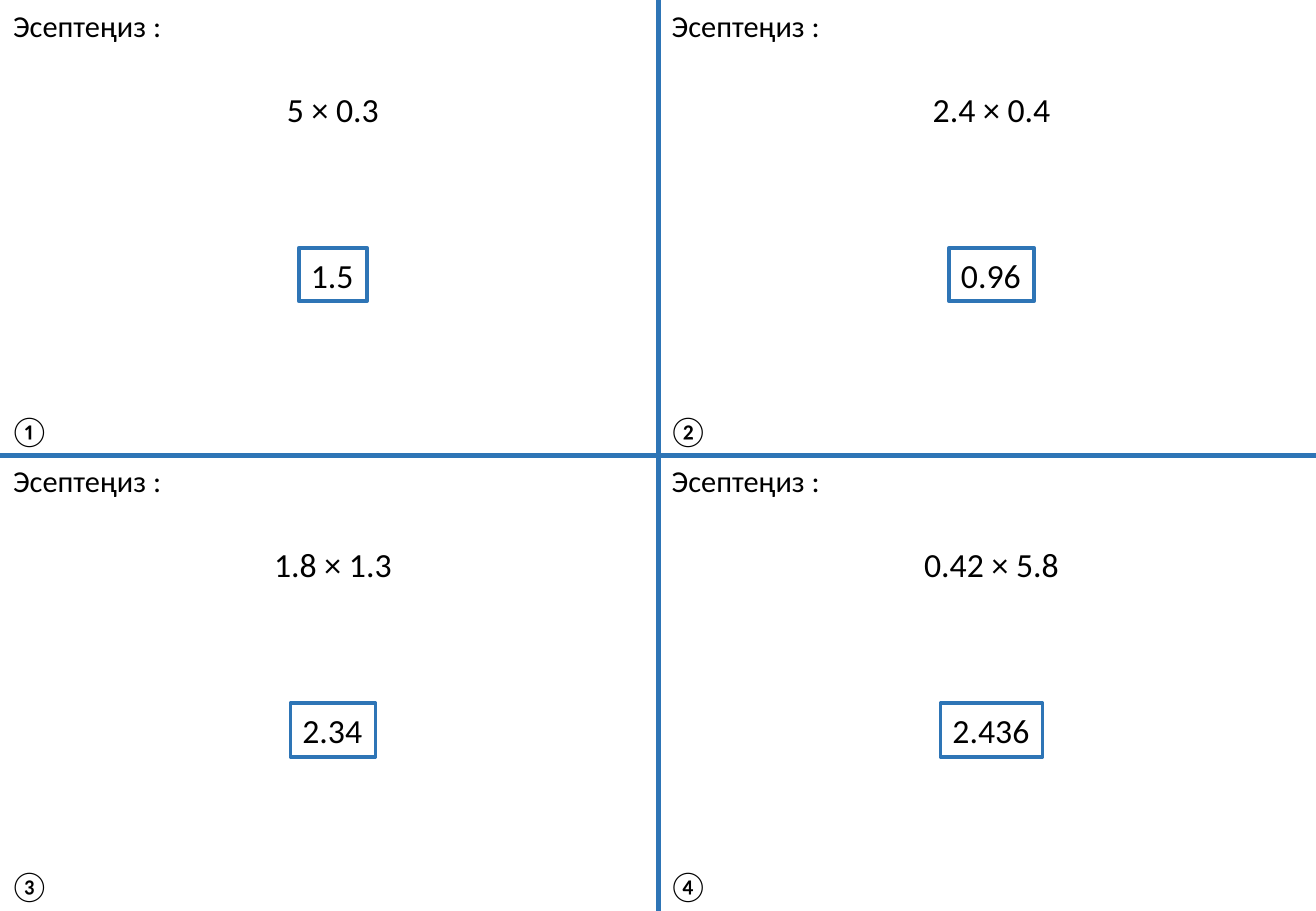
from dataclasses import dataclass

from lxml.etree import SubElement
from pptx import Presentation
from pptx.dml.color import RGBColor
from pptx.enum.shapes import MSO_CONNECTOR as Connector, MSO_SHAPE as Shape
from pptx.enum.text import MSO_AUTO_SIZE as AutoSize, PP_ALIGN as Align
from pptx.oxml.ns import qn
from pptx.shapes.autoshape import Shape as AutoShape
from pptx.slide import Slide
from pptx.util import Inches, Pt

COLORS = {"blue": "2E75B6", "white": "FFFFFF", "black": "000000"}
FONT = "Calibri"
WIDTH, HEIGHT = 10.83, 7.5
COL_STEP, ROW_STEP = 5.42, 3.75
CENTER = 2.74  # middle of the sums, from the left of a card


@dataclass
class Card:
    number: str
    question: str
    question_width: float
    answer: str
    answer_width: float


CARDS = [
    Card("①", "5 × 0.3", 0.96, "1.5", 0.56),
    Card("②", "2.4 × 0.4", 1.18, "0.96", 0.7),
    Card("③", "1.8 × 1.3", 1.18, "2.34", 0.7),
    Card("④", "0.42 × 5.8", 1.32, "2.436", 0.84),
]


def rgb(name: str) -> RGBColor:
    return RGBColor.from_string(COLORS[name])


def add_divider(s: Slide, x1: float, y1: float, x2: float, y2: float) -> None:
    line = s.shapes.add_connector(
        Connector.STRAIGHT, Inches(x1), Inches(y1), Inches(x2), Inches(y2))
    line.line.color.rgb = rgb("blue")
    line.line.width = Pt(3)
    SubElement(line._element.spPr, qn("a:effectLst"))


def set_text(sp: AutoShape, text: str, size: int, align: Align) -> None:
    tf = sp.text_frame
    tf.text = text
    tf.word_wrap = False
    tf.auto_size = AutoSize.SHAPE_TO_FIT_TEXT
    p = tf.paragraphs[0]
    p.alignment = align
    font = p.runs[0].font
    font.name, font.size = FONT, Pt(size)
    font.color.rgb = rgb("black")


def add_label(s: Slide, text: str, x: float, y: float, w: float, h: float,
              size: int = 18, align: Align = Align.LEFT) -> None:
    sp = s.shapes.add_textbox(Inches(x), Inches(y), Inches(w), Inches(h))
    set_text(sp, text, size, align)


def add_answer(s: Slide, text: str, x: float, y: float, w: float) -> None:
    sp = s.shapes.add_shape(
        Shape.RECTANGLE, Inches(x), Inches(y), Inches(w), Inches(0.44))
    sp.shadow.inherit = False
    sp.fill.solid()
    sp.fill.fore_color.rgb = rgb("white")
    sp.line.color.rgb = rgb("blue")
    sp.line.width = Pt(2.25)
    set_text(sp, text, 20, Align.JUSTIFY)


def add_card(s: Slide, card: Card, left: float, top: float) -> None:
    center = left + CENTER
    add_label(s, "Эсептеңиз :", left + 0.01, top + 0.01, 1.44, 0.4)
    add_label(s, card.question, center - card.question_width / 2, top + 0.68,
              card.question_width, 0.44, 20, Align.CENTER)
    add_answer(s, card.answer, center - card.answer_width / 2, top + 2.04,
               card.answer_width)
    add_label(s, card.number, left - 0.02, top + 3.34, 0.54, 0.4)


def main() -> None:
    prs = Presentation()
    prs.slide_width, prs.slide_height = Inches(WIDTH), Inches(HEIGHT)
    s = prs.slides.add_slide(prs.slide_layouts[6])
    add_divider(s, COL_STEP, 0, COL_STEP, HEIGHT)
    add_divider(s, WIDTH, ROW_STEP, 0, ROW_STEP)
    for i, card in enumerate(CARDS):
        row, col = divmod(i, 2)
        add_card(s, card, col * COL_STEP, row * ROW_STEP)
    prs.save("out.pptx")


if __name__ == "__main__":
    main()
